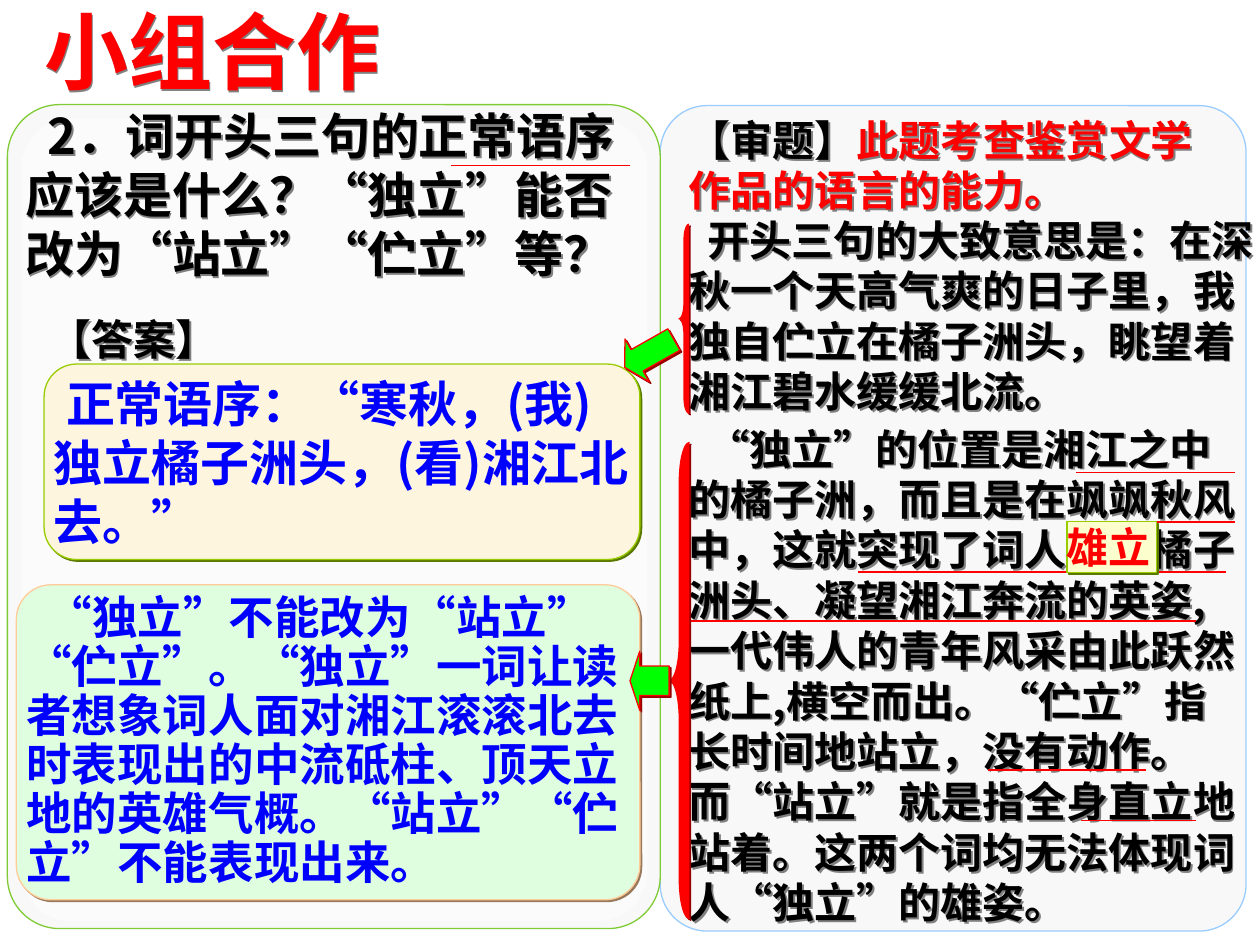
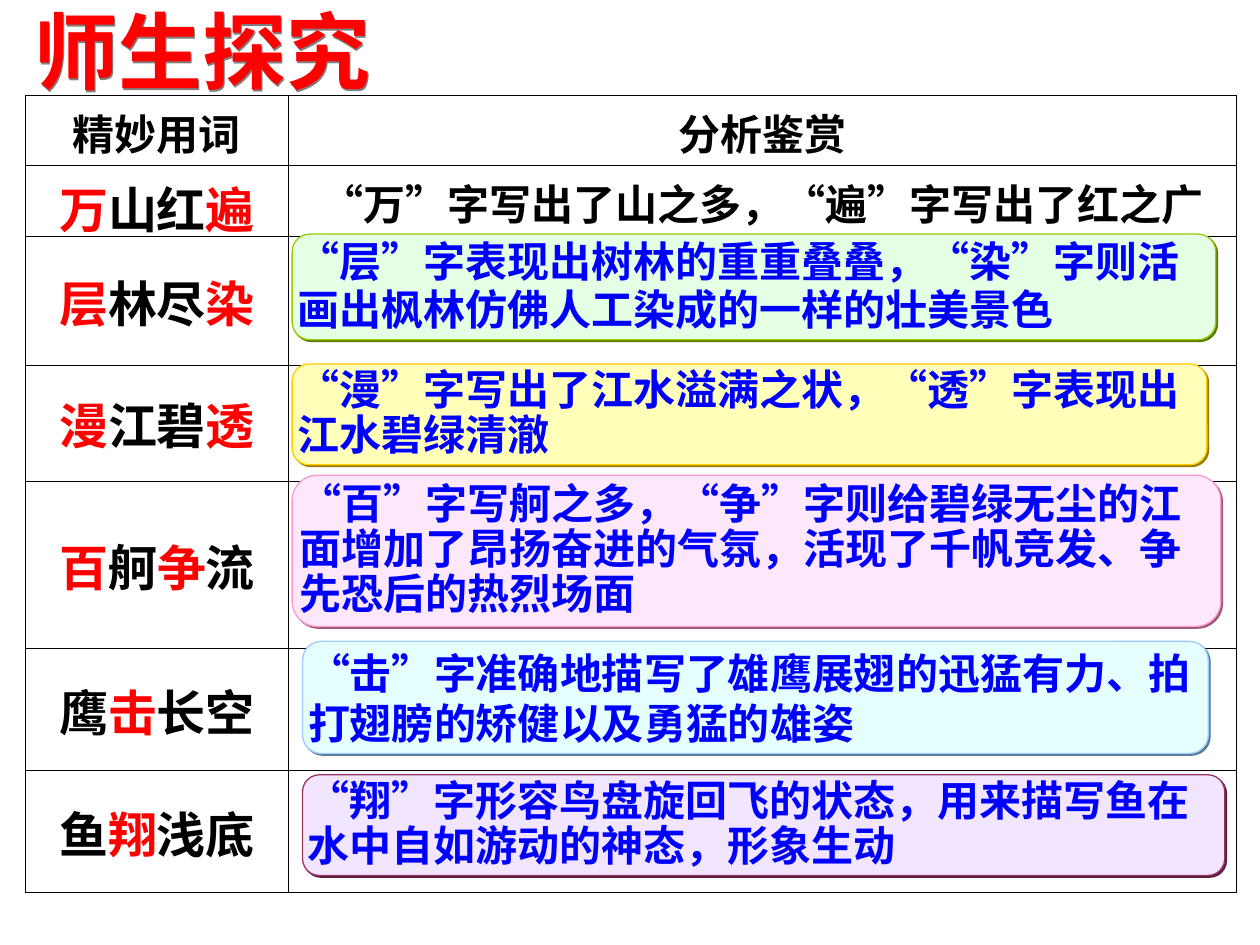
"""Build two Chinese poetry lesson slides: a group exercise and a word study table."""
from dataclasses import dataclass
from itertools import groupby

from lxml import etree
from pptx import Presentation
from pptx.dml.color import RGBColor
from pptx.enum.shapes import MSO_CONNECTOR, MSO_SHAPE
from pptx.enum.text import MSO_ANCHOR, PP_ALIGN
from pptx.oxml.ns import qn
from pptx.util import Cm, Pt

ROUNDED = MSO_SHAPE.ROUNDED_RECTANGLE
RECTANGLE = MSO_SHAPE.RECTANGLE
BRACE = MSO_SHAPE.LEFT_BRACE
ARROW = MSO_SHAPE.LEFT_ARROW
STRAIGHT = MSO_CONNECTOR.STRAIGHT
MIDDLE, TOP = MSO_ANCHOR.MIDDLE, MSO_ANCHOR.TOP
CENTER, LEFT = PP_ALIGN.CENTER, PP_ALIGN.LEFT

HAN, ARIAL, TIMES = "Noto Sans CJK SC", "Arial", "Times New Roman"
COLORS = {
    "red": "FF0000", "black": "000000", "blue": "0000FF", "white": "FFFFFF",
    "green": "00FF00", "panel": "F8F8F8", "panel green": "80CB35",
    "olive": "99CC00", "sky": "99CCFF", "peach": "FFCC99", "gold": "FFCC00",
    "rose": "FF99CC", "plum": "993366", "cream": "FEF5DE", "mint": "DFFDDF",
    "lime": "E5FFE5", "yellow": "FFFFB9", "pink": "FDE7FA", "ice": "E5FFFF",
    "lilac": "F2E5FF", "tag": "FDFECE", "gray": "808080",
}
SHADOW_SHADE = 0.597
KEY_WORDS = "万遍层染漫透百争击翔"


@dataclass(frozen=True)
class Area:
    """A rectangle in centimetres."""
    left: float
    top: float
    width: float
    height: float

    def lengths(self) -> tuple:
        """Return the four lengths."""
        return Cm(self.left), Cm(self.top), Cm(self.width), Cm(self.height)


@dataclass(frozen=True)
class Style:
    """The look of a text."""
    size: int
    color: str = "black"
    font: str = HAN
    align: int = LEFT
    anchor: int = TOP
    spacing: float = 1.0
    indent: float = 0


@dataclass(frozen=True)
class Figure:
    """A filled preset shape, with optional text."""
    area: Area
    fill: str
    line: str
    kind: int = ROUNDED
    adjustments: tuple = ()
    rotation: float = 0
    lines: tuple = ()
    style: Style = Style(24, "blue", anchor=MIDDLE)


@dataclass(frozen=True)
class Note:
    """A shadowed text without a fill."""
    area: Area
    text: str
    style: Style


@dataclass(frozen=True)
class Underline:
    """A horizontal red rule."""
    left: float
    top: float
    right: float


PANELS = (
    Figure(Area(13.31, 2.13, 11.81, 16.64), "panel", "sky", adjustments=(0.08,)),
    Figure(Area(0.15, 2.11, 13.16, 16.61), "panel", "panel green", adjustments=(0.08,)),
)
INNER_PANEL = Figure(Area(0.43, 2.39, 12.62, 16.18), "white", "", adjustments=(0.08,))
ANSWERS = (
    Figure(Area(0.89, 7.34, 12.01, 3.94), "cream", "olive",
           lines=("正常语序：“寒秋，(我)独立橘子洲头，(看)湘江北去。”",),
           style=Style(28, "blue", anchor=MIDDLE, indent=0.25)),
    Figure(Area(0.33, 11.79, 12.57, 6.35), "mint", "peach", adjustments=(0.11,),
           lines=("“独立”不能改为“站立”",
                  "“伫立”。“独立”一词让读者想象词人面对湘江滚滚北去时表现出的中流砥柱、"
                  "顶天立地的英雄气概。“站立”“伫立”不能表现出来。"),
           style=Style(26, "blue", anchor=MIDDLE, spacing=0.9, indent=0.41)),
)
READING = Style(24, indent=0.38)
NOTES = (
    Note(Area(0.51, 2.13, 12.8, 3.56),
         "2．词开头三句的正常语序应该是什么？“独立”能否改为“站立”“伫立”等？",
         Style(28, anchor=MIDDLE, indent=0.45)),
    Note(Area(0.89, 6.32, 3.61, 1.02), "【答案】", Style(24, font=ARIAL, align=CENTER)),
    Note(Area(13.89, 4.32, 11.51, 4.06),
         "开头三句的大致意思是：在深秋一个天高气爽的日子里，我独自伫立在橘子洲头，"
         "眺望着湘江碧水缓缓北流。", READING),
    Note(Area(13.89, 8.53, 11.1, 10.16),
         "“独立”的位置是湘江之中的橘子洲，而且是在飒飒秋风中，这就突现了词人雄立橘子洲头、"
         "凝望湘江奔流的英姿,一代伟人的青年风采由此跃然纸上,横空而出。“伫立”指长时间地站立，"
         "没有动作。而“站立”就是指全身直立地站着。这两个词均无法体现词人“独立”的雄姿。", READING),
)
REVIEW_AREA = Area(13.89, 2.31, 11, 2.03)
REVIEW = (("【审题】", "black"), ("此题考查鉴赏文学作品的语言的能力。", "red"))
UNDERLINES = (
    Underline(9.09, 3.33, 12.7), Underline(21.69, 9.52, 24.89),
    Underline(21.69, 10.52, 24.89), Underline(17.3, 11.53, 24.71),
    Underline(13.89, 12.52, 24.1), Underline(19.91, 15.52, 23.11),
    Underline(21.79, 16.54, 24.1),
)
MARKS = (
    Figure(Area(21.51, 10.52, 1.8, 1.02), "tag", "olive", RECTANGLE,
           lines=("雄立",), style=Style(24, "red", ARIAL)),
    Figure(Area(13.69, 4.52, 0.2, 3.81), "red", "red", BRACE, (1.59, 0.5)),
    Figure(Area(13.49, 8.92, 0.41, 9.6), "red", "red", BRACE, (1.95, 0.5)),
    Figure(Area(12.52, 6.63, 1.14, 0.99), "green", "red", ARROW, (0.5, 0.29), -29.4),
    Figure(Area(12.7, 13.13, 0.79, 1.19), "green", "red", ARROW, (0.5, 0.25)),
)

TABLE_AREA = Area(0.51, 1.93, 24.41, 16.05)
COLUMN_WIDTHS = (5.31, 19.1)
ROW_HEIGHTS = (1.4, 1.42, 2.59, 2.34, 3.38, 2.46, 2.46)
HEADINGS = ("精妙用词", "分析鉴赏")
PHRASES = ("万山红遍", "层林尽染", "漫江碧透", "百舸争流", "鹰击长空", "鱼翔浅底")
FIRST_ANALYSIS = "“万”字写出了山之多，“遍”字写出了红之广"
TIGHT = Style(24, "blue", anchor=MIDDLE, spacing=0.9)
ANALYSES = (
    Figure(Area(5.89, 4.72, 18.62, 2.13), "lime", "olive",
           lines=("“层”字表现出树林的重重叠叠，“染”字则活画出枫林仿佛人工染成的一样的壮美景色",),
           style=Style(24, "blue", ARIAL, anchor=MIDDLE, spacing=0.95)),
    Figure(Area(5.89, 7.34, 18.44, 2.03), "yellow", "gold",
           lines=("“漫”字写出了江水溢满之状，“透”字表现出江水碧绿清澈",), style=TIGHT),
    Figure(Area(5.89, 9.58, 18.72, 3.05), "pink", "rose",
           lines=("“百”字写舸之多，“争”字则给碧绿无尘的江面增加了昂扬奋进的气氛，"
                  "活现了千帆竞发、争先恐后的热烈场面",), style=TIGHT),
    Figure(Area(6.1, 12.93, 18.26, 2.26), "ice", "sky",
           lines=("“击”字准确地描写了雄鹰展翅的迅猛有力、拍打翅膀的矫健以及勇猛的雄姿",)),
    Figure(Area(6.1, 15.62, 18.59, 2.03), "lilac", "plum",
           lines=("“翔”字形容鸟盘旋回飞的状态，用来描写鱼在水中自如游动的神态，形象生动",), style=TIGHT),
)


def rgb(name: str) -> RGBColor:
    """Look up a colour."""
    return RGBColor.from_string(COLORS[name])


def add_shadow(shape, color: str) -> None:
    """Give a shape a short hard shadow to the lower right."""
    effects = etree.SubElement(shape._element.spPr, qn("a:effectLst"))
    shadow = etree.SubElement(effects, qn("a:outerShdw"), dist="18000", dir="2700000",
                              algn="ctr", rotWithShape="0")
    etree.SubElement(shadow, qn("a:srgbClr"), val=color)


def darken(color: str) -> str:
    """Return the shadow shade of a hex colour."""
    return "".join(f"{int(channel * SHADOW_SHADE):02X}" for channel in bytes.fromhex(color))


def style_paragraph(para, style: Style) -> None:
    """Apply a style to a whole paragraph."""
    para.alignment = style.align
    para.line_spacing = style.spacing
    font = para.font
    font.size, font.bold = Pt(style.size), True
    font.color.rgb = rgb(style.color)
    font.name = style.font
    etree.SubElement(font._element, qn("a:ea"), typeface=HAN)


def write_text(frame, lines: tuple, style: Style) -> None:
    """Fill a text frame, indenting its first line."""
    frame.word_wrap = True
    frame.vertical_anchor = style.anchor
    frame.margin_left = frame.margin_right = frame.margin_top = frame.margin_bottom = 0
    for index, line in enumerate(lines):
        para = frame.add_paragraph() if index else frame.paragraphs[0]
        if style.indent and not index:
            para._p.get_or_add_pPr().set("indent", str(Cm(style.indent)))
        para.text = line
        style_paragraph(para, style)


def add_spans(para, spans) -> None:
    """Add coloured runs to a paragraph."""
    for text, color in spans:
        span = para.add_run()
        span.text = text
        span.font.color.rgb = rgb(color)


def draw_figure(page, figure: Figure, shadowed: bool = True):
    """Draw a preset shape with its text."""
    shape = page.shapes.add_shape(figure.kind, *figure.area.lengths())
    for index, value in enumerate(figure.adjustments):
        shape.adjustments[index] = value
    shape.rotation = figure.rotation
    shape.fill.solid()
    shape.fill.fore_color.rgb = rgb(figure.fill)
    if figure.line:
        shape.line.color.rgb = rgb(figure.line)
        shape.line.width = Pt(0.75)
    else:
        shape.line.fill.background()
    if shadowed:
        add_shadow(shape, darken(COLORS[figure.line]))
    else:
        shape.shadow.inherit = False
    if figure.lines:
        write_text(shape.text_frame, figure.lines, figure.style)
    return shape


def draw_note(page, note: Note):
    """Draw a shadowed text box and return it."""
    box = page.shapes.add_textbox(*note.area.lengths())
    add_shadow(box, COLORS["gray"])
    write_text(box.text_frame, (note.text,), note.style)
    return box


def draw_title(page, text: str, left: float) -> None:
    """Draw the slide title."""
    draw_note(page, Note(Area(left, 0, 8.31, 2.03), text, Style(48, "red", ARIAL)))


def draw_underline(page, rule: Underline) -> None:
    """Draw a thin red rule."""
    line = page.shapes.add_connector(STRAIGHT, Cm(rule.left), Cm(rule.top),
                                     Cm(rule.right), Cm(rule.top))
    line.line.color.rgb = rgb("red")
    line.line.width = Pt(0.75)
    etree.SubElement(line._element.spPr, qn("a:effectLst"))


def style_cell(cell) -> None:
    """Give a cell black borders, no fill and a middle anchor."""
    cell.vertical_anchor = MIDDLE
    properties = cell._tc.get_or_add_tcPr()
    for side in ("lnL", "lnR", "lnT", "lnB"):
        border = etree.SubElement(properties, qn(f"a:{side}"), w=str(Pt(0.75)))
        fill = etree.SubElement(border, qn("a:solidFill"))
        etree.SubElement(fill, qn("a:srgbClr"), val=COLORS["black"])
    cell.fill.background()


def draw_table(page) -> None:
    """Draw the word study table."""
    table = page.shapes.add_table(len(ROW_HEIGHTS), len(COLUMN_WIDTHS),
                                  *TABLE_AREA.lengths()).table
    table.first_row = table.horz_banding = False
    for column, width in zip(table.columns, COLUMN_WIDTHS):
        column.width = Cm(width)
    for row, height in zip(table.rows, ROW_HEIGHTS):
        row.height = Cm(height)
    for cell in table.iter_cells():
        style_cell(cell)
    heading = Style(24, font=TIMES, align=CENTER)
    texts = ((0, 0, HEADINGS[0]), (0, 1, HEADINGS[1]), (1, 1, FIRST_ANALYSIS))
    for row, column, text in texts:
        para = table.cell(row, column).text_frame.paragraphs[0]
        para.text = text
        style_paragraph(para, heading)
    for row, phrase in enumerate(PHRASES, 1):
        para = table.cell(row, 0).text_frame.paragraphs[0]
        style_paragraph(para, Style(28, font=TIMES, align=CENTER))
        groups = groupby(phrase, key=lambda word: word in KEY_WORDS)
        add_spans(para, [("".join(words), "red" if key else "black") for key, words in groups])


def build_exercise(page) -> None:
    """Build the group exercise slide."""
    for panel in PANELS:
        draw_figure(page, panel, shadowed=False)
    inner = draw_figure(page, INNER_PANEL, shadowed=False)
    color = inner._element.spPr.find(qn("a:solidFill"))[0]
    etree.SubElement(color, qn("a:alpha"), val="50000")
    draw_title(page, "小组合作", 0.89)
    for answer in ANSWERS:
        draw_figure(page, answer)
    for note in NOTES:
        draw_note(page, note)
    review = draw_note(page, Note(REVIEW_AREA, "", Style(24, font=ARIAL)))
    add_spans(review.text_frame.paragraphs[0], REVIEW)
    for rule in UNDERLINES:
        draw_underline(page, rule)
    for mark in MARKS:
        draw_figure(page, mark)


def build_word_study(page) -> None:
    """Build the word study slide."""
    draw_title(page, "师生探究", 0.69)
    draw_table(page)
    for analysis in ANALYSES:
        draw_figure(page, analysis)


def main() -> None:
    """Build and save the deck."""
    deck = Presentation()
    deck.slide_width, deck.slide_height = Cm(25.4), Cm(19.05)
    for build in (build_exercise, build_word_study):
        build(deck.slides.add_slide(deck.slide_layouts[6]))
    deck.save("out.pptx")


if __name__ == "__main__":
    main()
